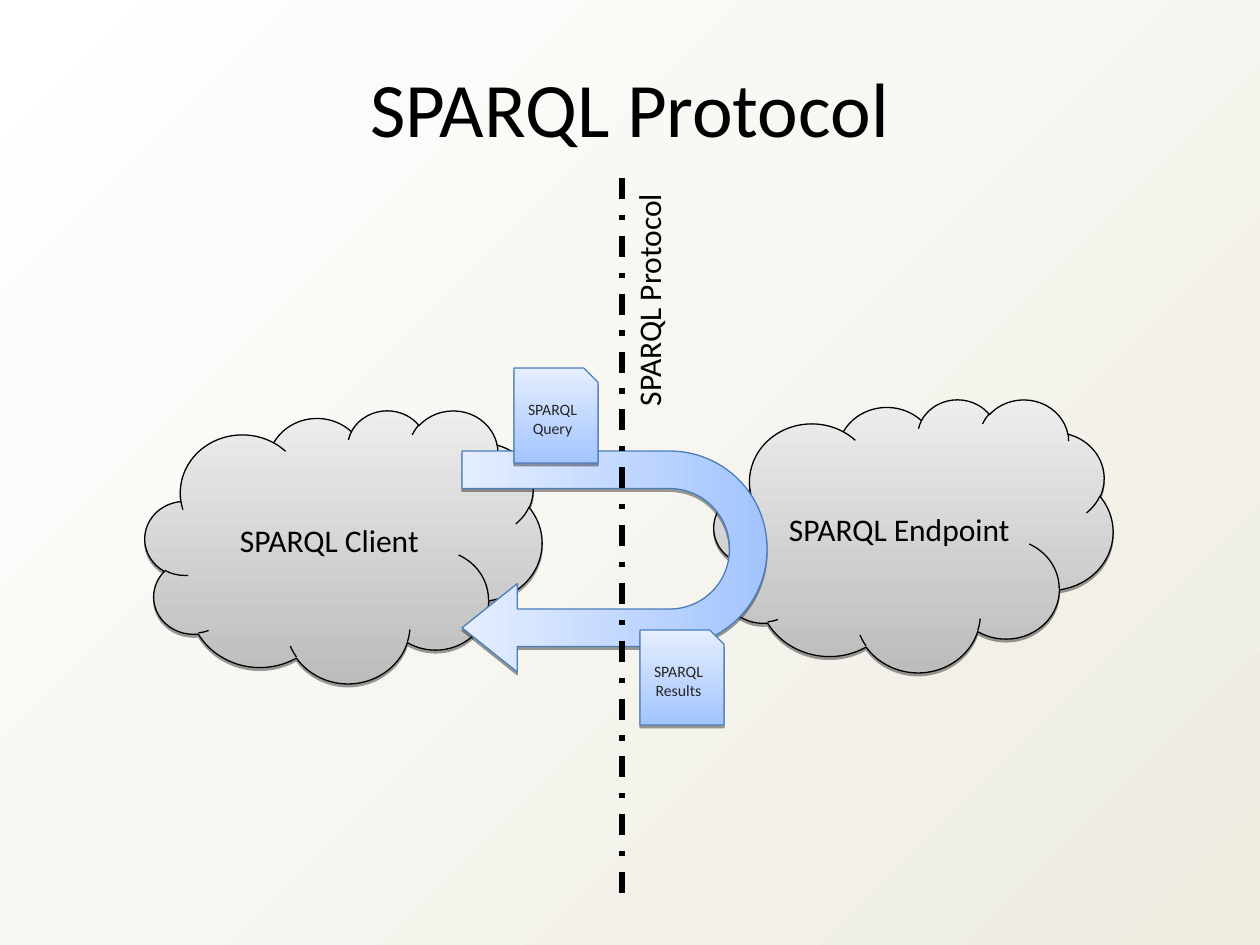
"""Builds the SPARQL Protocol slide: client and endpoint clouds exchanging a query and results."""
import pptx
import pptx.util
import pptx.dml.color
import pptx.enum.dml
import pptx.enum.shapes
import pptx.enum.text
import pptx.oxml
import lxml.etree

PX = 914400 / 126
MSO = pptx.enum.shapes.MSO_SHAPE
CENTER = pptx.enum.text.PP_ALIGN.CENTER
LEFT = pptx.enum.text.PP_ALIGN.LEFT
GREY = ("BCBCBC", "EDEDED")
BLUE = ("A3C4FF", "E5EEFF")
SHADOW = (
    '<a:effectLst xmlns:a="http://schemas.openxmlformats.org/drawingml/2006/main">'
    '<a:outerShdw blurRad="0" dist="20000" dir="5400000" rotWithShape="0">'
    '<a:srgbClr val="000000"><a:alpha val="38000"/></a:srgbClr>'
    '</a:outerShdw></a:effectLst>'
)


def rgb(value):
    return pptx.dml.color.RGBColor.from_string(value)


def write(sp, text, size, color, align):
    tf = sp.text_frame
    p = tf.paragraphs[0]
    p.alignment = align
    r = p.add_run()
    r.text = text
    r.font.size = pptx.util.Pt(size)
    r.font.name = "Calibri"
    r.font.color.rgb = rgb(color)


prs = pptx.Presentation()
prs.slide_width = round(1260 * PX)
prs.slide_height = round(945 * PX)
s = prs.slides.add_slide(prs.slide_layouts[6])

fill = s.background.fill
fill.gradient()
fill.gradient_angle = 315
for stop, color in zip(fill.gradient_stops, ("FFFFFF", "EEECE1")):
    stop.color.rgb = rgb(color)

shapes = [
    (MSO.CLOUD, (714, 399, 399, 273), 0, [], GREY, 90, "000000", "SPARQL Endpoint", 18, "000000"),
    (MSO.CLOUD, (145, 410, 397, 273), 0, [], GREY, 90, "000000", "SPARQL Client", 18, "000000"),
    (MSO.U_TURN_ARROW, (504, 409, 221, 305), 90, [0.17, 0.2, 0.25, 0.44, 1], BLUE, 270, "4A7EBB", "", 0, ""),
    (MSO.SNIP_1_RECTANGLE, (514, 368, 84, 95), 0, [0.17], BLUE, 90, "4A7EBB", "SPARQL Query", 9, "262626"),
    (MSO.SNIP_1_RECTANGLE, (640, 630, 84, 95), 0, [0.17], BLUE, 90, "4A7EBB", "SPARQL Results", 9, "262626"),
]
for kind, box, rotation, adjustments, colors, angle, line, text, size, ink in shapes:
    sp = s.shapes.add_shape(kind, *[round(v * PX) for v in box])
    sp.rotation = rotation
    for i, value in enumerate(adjustments):
        sp.adjustments[i] = value
    sp.fill.gradient()
    sp.fill.gradient_angle = angle
    for stop, color in zip(sp.fill.gradient_stops, colors):
        stop.color.rgb = rgb(color)
    sp.line.color.rgb = rgb(line)
    sp.line.width = pptx.util.Pt(0.75)
    sp._element.spPr.append(pptx.oxml.parse_xml(SHADOW))
    if text:
        sp.text_frame.word_wrap = True
        sp.text_frame.vertical_anchor = pptx.enum.text.MSO_ANCHOR.MIDDLE
        write(sp, text, size, ink, CENTER)

    if kind == MSO.U_TURN_ARROW:
        cx = s.shapes.add_connector(
            pptx.enum.shapes.MSO_CONNECTOR.STRAIGHT,
            *[round(v * PX) for v in (622, 178, 622, 902)])
        cx.line.color.rgb = rgb("000000")
        cx.line.width = pptx.util.Pt(3)
        cx.line.dash_style = pptx.enum.dml.MSO_LINE.DASH_DOT
        lxml.etree.SubElement(cx._element.spPr, pptx.oxml.ns.qn("a:effectLst"))

labels = [
    ((21, 54, 1218, 106), 0, 44, CENTER, True),
    ((528, 273, 241, 50), 270, 18, LEFT, False),
]
for box, rotation, size, align, wrap in labels:
    sp = s.shapes.add_textbox(*[round(v * PX) for v in box])
    sp.rotation = rotation
    sp.text_frame.word_wrap = wrap
    write(sp, "SPARQL Protocol", size, "000000", align)

prs.save("out.pptx")
